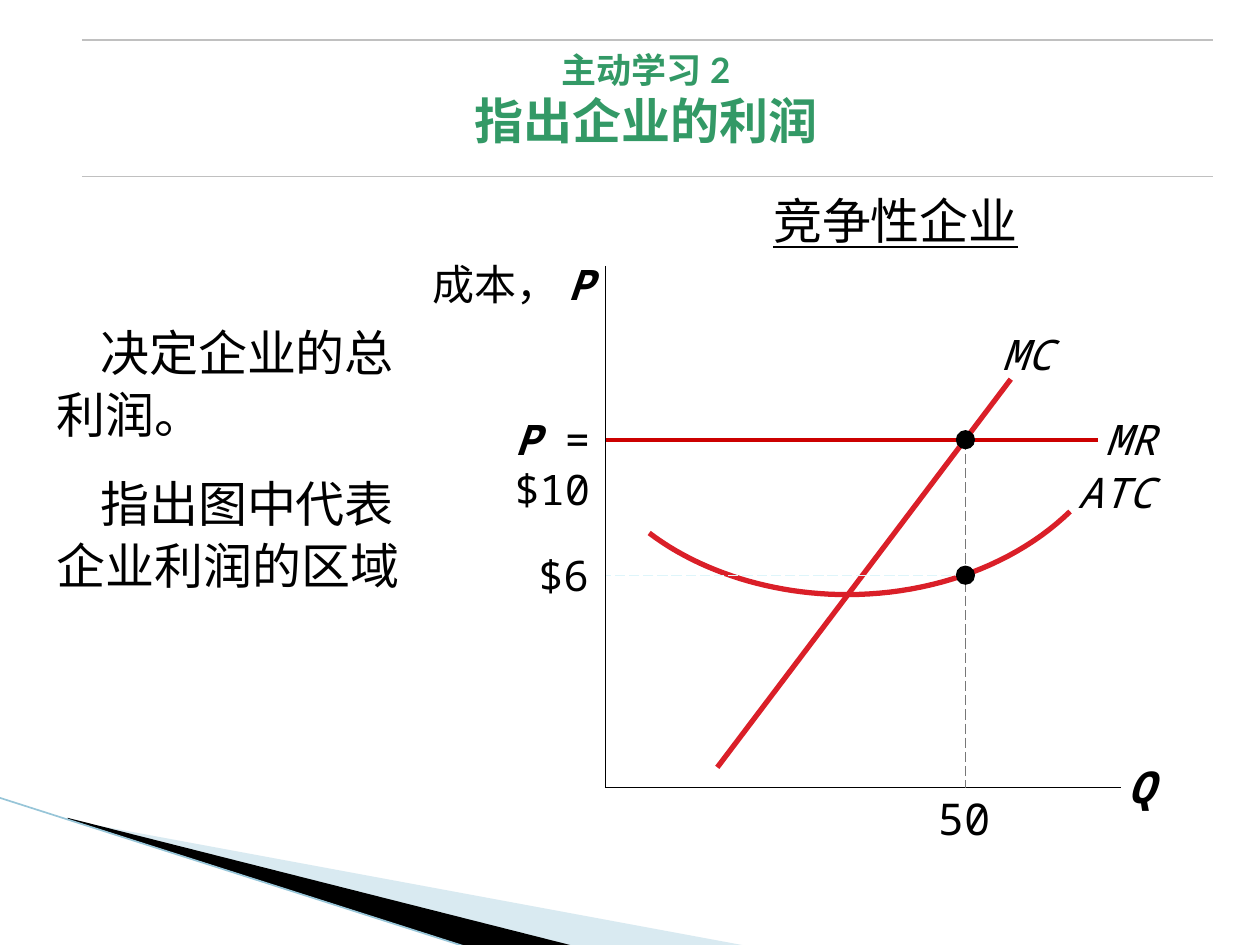
from lxml.etree import SubElement
from pptx import Presentation
from pptx.dml.color import RGBColor
from pptx.enum.dml import MSO_LINE
from pptx.enum.shapes import MSO_CONNECTOR, MSO_SHAPE
from pptx.enum.text import PP_ALIGN
from pptx.oxml.ns import qn
from pptx.util import Pt

MONO = "Noto Sans Mono"
BLACK, RED, SILVER = "000000", "DA1F28", "C0C0C0"
INSETS = (7.2, 3.6)


def color(value):
    return RGBColor.from_string(value)


def add_line(page, start, end, stroke, width, dash=None):
    line = page.shapes.add_connector(
        MSO_CONNECTOR.STRAIGHT, *(Pt(value) for value in (*start, *end)))
    line.line.color.rgb = color(stroke)
    line.line.width = Pt(width)
    if dash:
        line.line.dash_style = dash
    SubElement(line._element.spPr, qn("a:effectLst"))


def add_outline(page, points, closed):
    vertices = [(Pt(x), Pt(y)) for x, y in points]
    builder = page.shapes.build_freeform(*vertices[0], scale=1.0)
    builder.add_line_segments(vertices[1:], close=closed)
    outline = builder.convert_to_shape()
    outline.shadow.inherit = False
    return outline


def add_wedge(page, points, fill, alpha=None):
    wedge = add_outline(page, points, closed=True)
    wedge.fill.solid()
    wedge.fill.fore_color.rgb = color(fill)
    wedge.line.fill.background()
    if alpha:
        tint = wedge._element.spPr.find(".//" + qn("a:srgbClr"))
        SubElement(tint, qn("a:alpha"), val=str(alpha * 1000))


def add_dot(page, x, y, radius=5.5):
    dot = page.shapes.add_shape(
        MSO_SHAPE.OVAL, Pt(x - radius), Pt(y - radius), Pt(2 * radius), Pt(2 * radius))
    dot.shadow.inherit = False
    dot.fill.solid()
    dot.fill.fore_color.rgb = color(BLACK)
    dot.line.fill.background()


def add_frame(page, box, insets=INSETS):
    frame = page.shapes.add_textbox(*(Pt(value) for value in box)).text_frame
    frame.word_wrap = True
    frame.margin_left = frame.margin_right = Pt(insets[0])
    frame.margin_top = frame.margin_bottom = Pt(insets[1])
    return frame


def style_paragraph(para, size, align=PP_ALIGN.LEFT, spacing=None, name=MONO, fill=BLACK):
    para.alignment = align
    if spacing:
        para.line_spacing = spacing
    para.font.name = name
    para.font.size = Pt(size)
    para.font.color.rgb = color(fill)


def add_label(page, box, spans, size=24, align=PP_ALIGN.LEFT, insets=(0, 0)):
    """Place one paragraph; each span is (text, bold, italic)."""
    para = add_frame(page, box, insets).paragraphs[0]
    style_paragraph(para, size, align)
    for text, bold, italic in spans:
        span = para.add_run()
        span.text = text
        span.font.bold = bold
        span.font.italic = italic


def bezier(start, first, second, end, steps=24):
    for step in range(steps + 1):
        t = step / steps
        weights = ((1 - t) ** 3, 3 * t * (1 - t) ** 2, 3 * t ** 2 * (1 - t), t ** 3)
        yield tuple(sum(weight * point[axis] for weight, point
                        in zip(weights, (start, first, second, end)))
                    for axis in (0, 1))


def draw_corner(page, left, top):
    """Draw the sloping bands from their upper left tip."""
    def at(*points):
        return [(left + x, top + y) for x, y in points]

    add_wedge(page, at((40, 13), (428.5, 85), (328.5, 85), (40, 12.3)), "A0CBDC", 40)
    add_wedge(page, at((38.5, 11.5), (329, 85), (268, 85.5), (39, 12.3)), BLACK)
    add_line(page, *at((-0.5, 0), (267, 85.5)), "97C5D8", 0.95)


def draw_title(page, left, top, width, height):
    for y in (top, top + height):
        add_line(page, (left, y), (left + width, y), SILVER, 1)
    frame = add_frame(page, (left - 0.7, top + 5, width, 75), (7.2, 0))
    para = frame.paragraphs[0]
    style_paragraph(para, 28, PP_ALIGN.CENTER, name="Lato", fill="339966")
    para.font.bold = True
    span = para.add_run()
    span.text = "主动学习 2"
    span.font.size = Pt(20)
    para.add_line_break()
    para.add_run().text = "指出企业的利润"


def draw_questions(page, box):
    frame = add_frame(page, box)
    for index, text in enumerate(("决定企业的总利润。", "指出图中代表企业利润的区域")):
        para = frame.add_paragraph() if index else frame.paragraphs[0]
        para.text = text
        para._p.get_or_add_pPr().set("indent", str(Pt(25)))
        if index:
            para.space_before = Pt(15.5)
        style_paragraph(para, 28, spacing=1.05)


def draw_graph(page, left, top, width, height):
    """Draw the cost curves; the box is the area between the axes."""
    quantity, price, cost = 205.5, 99.3, 176.7

    def at(x, y):
        return left + x, top + y

    def label(x, y, wide, high, *spans, **options):
        add_label(page, (*at(x, y), wide, high), spans, **options)

    add_line(page, at(0, 0), at(0, height), BLACK, 0.75)
    add_line(page, at(0, height), at(width, height), BLACK, 0.75)
    label(291, 278.6, 42.5, 37.4, ("Q", True, True), size=25, insets=INSETS)
    label(-132.2, -8, 131.8, 36, ("成本， ", False, False), ("P", True, True),
          align=PP_ALIGN.RIGHT, insets=INSETS)

    add_line(page, at(63.7, 286.5), at(231.4, 64.7), RED, 3)
    bottom = at(137.8, 187.8)
    right_half = bezier(at(265.3, 140.3), at(235, 169.8), at(188.2, 187.8), bottom)
    left_half = bezier(bottom, at(95.4, 187.8), at(54.3, 174.9), at(24.8, 152.6))
    curve = add_outline(page, [*right_half, *list(left_half)[1:]], closed=False)
    curve.fill.background()
    curve.line.color.rgb = color(RED)
    curve.line.width = Pt(3)
    add_line(page, at(0, price), at(281, price), "CC0000", 2.25)
    for name, x, y, wide in (("MC", 226.4, 35.9, 47.5),
                             ("ATC", 269.6, 114.4, 58.3),
                             ("MR", 285.4, 84.2, 47.5)):
        label(x, y, wide, 28.8, (name, False, True))

    label(-107.7, 80.6, 105.8, 36, ("P", True, True), (" = $10", False, False),
          align=PP_ALIGN.RIGHT, insets=INSETS)
    label(188.2, 300.2, 33.1, 30.2, ("50", False, False), size=25, align=PP_ALIGN.CENTER)
    label(-47.2, 161.9, 37.4, 28.8, ("$6", False, False), align=PP_ALIGN.RIGHT)
    add_line(page, at(quantity, price), at(quantity, height), "777777", 0.75,
             MSO_LINE.LONG_DASH)
    add_line(page, at(quantity, cost), at(0, cost), "DEF5FA", 0.75, MSO_LINE.LONG_DASH)
    for y in (price, cost):
        add_dot(page, *at(quantity, y))

    heading = add_frame(page, (*at(42, -48.3), 247, 38)).paragraphs[0]
    heading.text = "竞争性企业"
    style_paragraph(heading, 28, PP_ALIGN.CENTER, spacing=1.05)
    heading.font.underline = True


def main():
    deck = Presentation()
    deck.slide_width, deck.slide_height = Pt(720), Pt(540)
    page = deck.slides.add_slide(deck.slide_layouts[6])
    draw_corner(page, 0, 455.8)
    draw_title(page, 46.8, 23, 646.2, 77.8)
    draw_questions(page, (25.2, 179.3, 226.8, 326.9))
    draw_graph(page, 346.2, 152, 294.5, 298)
    deck.save("out.pptx")


if __name__ == "__main__":
    main()
